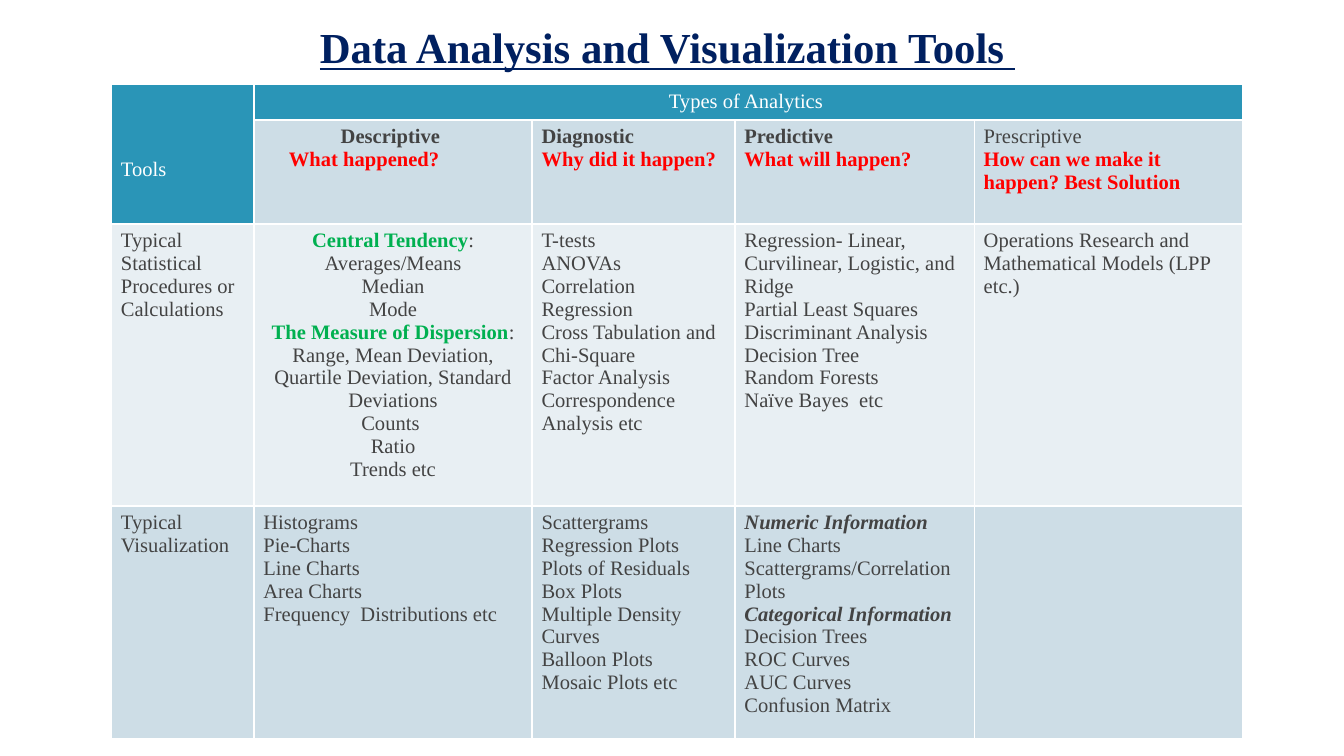
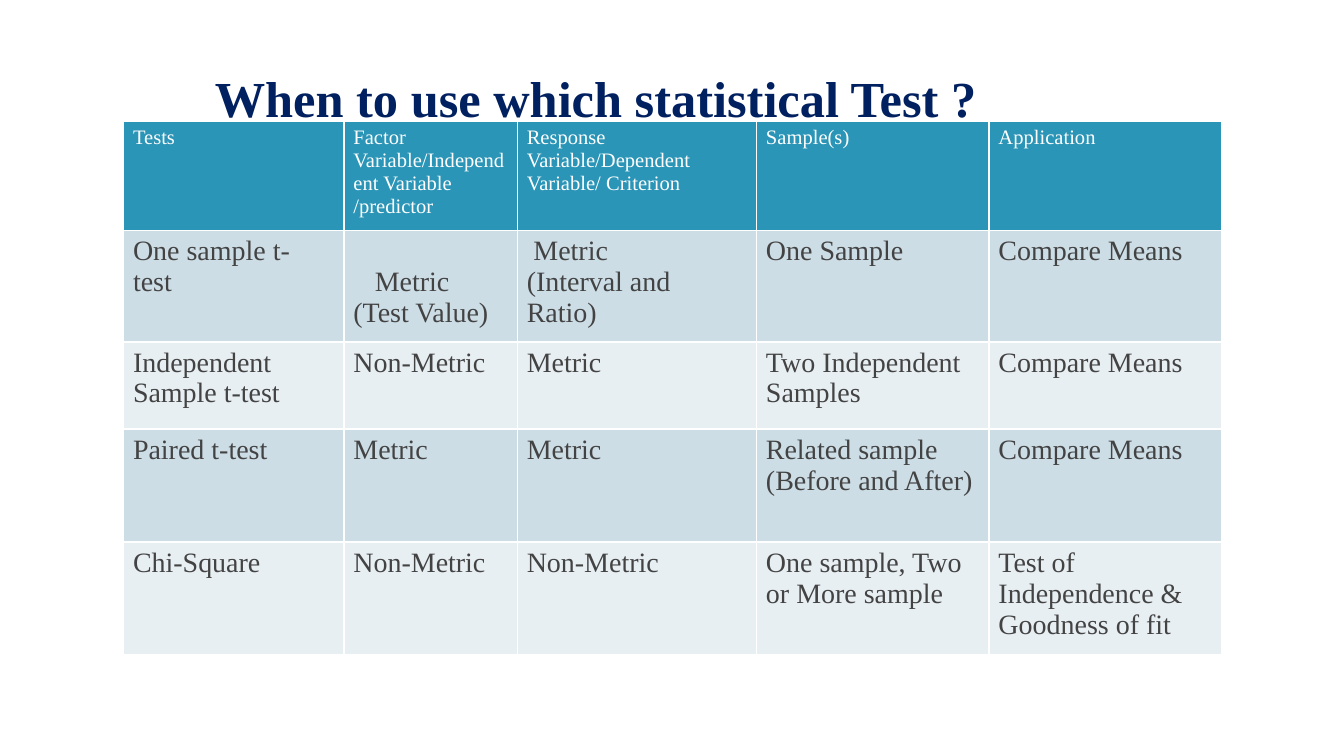
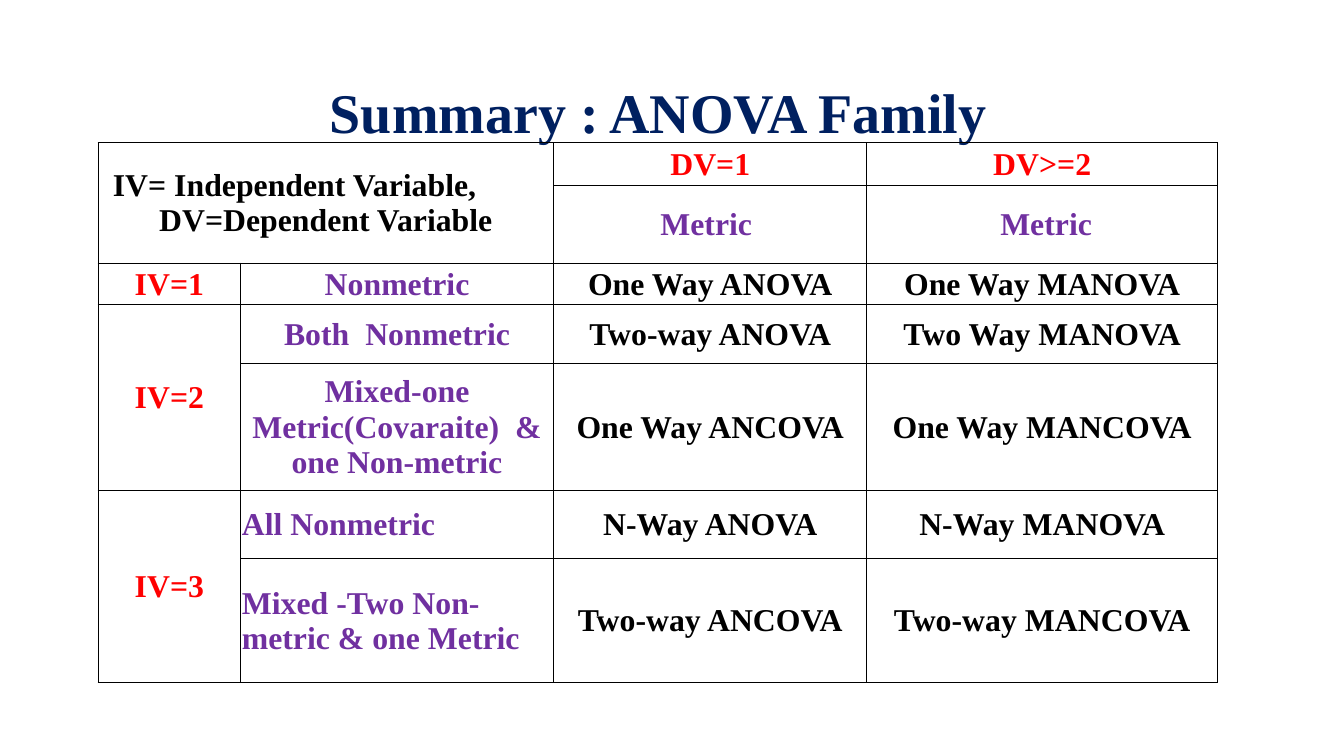
from dataclasses import dataclass, replace
from typing import Optional

from lxml.etree import SubElement
from pptx import Presentation
from pptx.dml.color import RGBColor
from pptx.enum.text import MSO_ANCHOR, PP_ALIGN
from pptx.oxml.ns import qn
from pptx.util import Emu, Pt

EMU_PER_PX = 9144  # 100 px to the inch

COLORS = {
    "navy": "002060",
    "teal": "2A95B7",
    "band": "CDDDE6",
    "pale": "E8EFF3",
    "gray": "434343",
    "white": "FFFFFF",
    "black": "000000",
    "red": "FF0000",
    "green": "00B050",
    "purple": "7030A0",
}


@dataclass(frozen=True)
class Face:
    color: str
    size: float
    bold: bool = False
    italic: bool = False
    underline: bool = False
    family: str = "Times New Roman"


@dataclass(frozen=True)
class Line:
    """One paragraph; indent moves its first line, in px."""
    runs: tuple[tuple[str, Face], ...]
    align: PP_ALIGN = PP_ALIGN.LEFT
    indent: int = 0


@dataclass(frozen=True)
class Cell:
    lines: tuple[Line, ...] = ()
    fill: Optional[str] = None
    rows: int = 1
    cols: int = 1
    top_inset: Optional[int] = None


@dataclass(frozen=True)
class Title:
    box: tuple[int, int, int, int]
    line: Line


@dataclass(frozen=True)
class Grid:
    left: int
    top: int
    widths: tuple[int, ...]
    heights: tuple[int, ...]
    cells: list[list[Optional[Cell]]]
    insets: tuple[int, int, int, int] = (7, 4, 7, 4)
    anchor: MSO_ANCHOR = MSO_ANCHOR.TOP
    edge: str = "white"
    edge_width: float = 1


HEADER = Face("white", 11)
BODY = Face("gray", 11)
STRONG = replace(BODY, bold=True)
QUESTION = replace(STRONG, color="red")
TOPIC = replace(STRONG, color="green")
KIND = replace(STRONG, italic=True)
ENTRY = Face("gray", 15)
RESULT = Face("black", 17, bold=True)
COUNT = replace(RESULT, color="red")
SCALE = replace(RESULT, color="purple")
TITLE = Face("navy", 27, bold=True)


def px(length: int) -> Emu:
    return Emu(length * EMU_PER_PX)


def rgb(name: str) -> RGBColor:
    return RGBColor.from_string(COLORS[name])


def one(text: str, face: Face, align: PP_ALIGN = PP_ALIGN.LEFT, indent: int = 0) -> Line:
    return Line(((text, face),), align, indent)


def listing(text: str, face: Face = BODY, align: PP_ALIGN = PP_ALIGN.LEFT) -> tuple[Line, ...]:
    """Turn each row of text into a paragraph."""
    return tuple(one(row, face, align) for row in text.split("\n"))


def apply_face(font, face: Face) -> None:
    font.name = face.family
    font.size = Pt(face.size)
    font.bold = face.bold
    font.italic = face.italic
    font.underline = face.underline
    font.color.rgb = rgb(face.color)


def write_lines(frame, lines: tuple[Line, ...]) -> None:
    for index, line in enumerate(lines):
        paragraph = frame.add_paragraph() if index else frame.paragraphs[0]
        paragraph.alignment = line.align
        if line.indent:
            paragraph_props = paragraph._p.get_or_add_pPr()
            paragraph_props.set("marL", "0")
            paragraph_props.set("indent", str(px(line.indent)))
        shared = len({face for _, face in line.runs}) == 1
        if shared:
            apply_face(paragraph.font, line.runs[0][1])
        for text, face in line.runs:
            run = paragraph.add_run()
            run.text = text
            if shared:
                run.font.size = Pt(face.size)  # row heights are measured from run sizes
            else:
                apply_face(run.font, face)


def draw_edges(cell, color: str, width: float) -> None:
    cell_props = cell._tc.get_or_add_tcPr()
    for side in "LRTB":
        edge = SubElement(cell_props, qn(f"a:ln{side}"), w=str(Pt(width)))
        solid = SubElement(edge, qn("a:solidFill"))
        SubElement(solid, qn("a:srgbClr"), val=COLORS[color])


def draw_title(slide, title: Title) -> None:
    frame = slide.shapes.add_textbox(*map(px, title.box)).text_frame
    frame.word_wrap = True
    frame.vertical_anchor = MSO_ANCHOR.TOP
    frame.margin_left = frame.margin_right = px(10)
    frame.margin_top = frame.margin_bottom = px(10)
    write_lines(frame, (title.line,))


def draw_grid(slide, grid: Grid) -> None:
    table = slide.shapes.add_table(
        len(grid.heights), len(grid.widths), px(grid.left), px(grid.top),
        px(sum(grid.widths)), px(sum(grid.heights))).table
    table.first_row = table.horz_banding = False
    for column, width in zip(table.columns, grid.widths):
        column.width = px(width)
    for row, height in zip(table.rows, grid.heights):
        row.height = px(height)
    for r, row_cells in enumerate(grid.cells):
        for c, content in enumerate(row_cells):
            cell = table.cell(r, c)
            draw_edges(cell, grid.edge, grid.edge_width)
            if content is None:
                cell.fill.background()
                continue
            if content.fill:
                cell.fill.solid()
                cell.fill.fore_color.rgb = rgb(content.fill)
            else:
                cell.fill.background()
            left, top, right, bottom = grid.insets
            cell.margin_left, cell.margin_right = px(left), px(right)
            cell.margin_top = px(top if content.top_inset is None else content.top_inset)
            cell.margin_bottom = px(bottom)
            cell.vertical_anchor = grid.anchor
            write_lines(cell.text_frame, content.lines)
            if content.rows * content.cols > 1:
                cell.merge(table.cell(r + content.rows - 1, c + content.cols - 1))


def analytics_type(name: str, question: str, face: Face = STRONG) -> Cell:
    return Cell((one(name, face), one(question, QUESTION)), "band")


def tools_grid() -> Grid:
    center = PP_ALIGN.CENTER
    descriptive = (
        Line((("Central Tendency", TOPIC), (": Averages/Means", BODY)), center),
        *listing("Median\nMode", align=center),
        Line((("The Measure of Dispersion", TOPIC),
              (": Range, Mean Deviation, Quartile Deviation, Standard Deviations", BODY)), center),
        *listing("Counts \nRatio\nTrends etc", align=center),
    )
    predictive_charts = (
        one("Numeric Information", KIND),
        *listing("Line Charts\nScattergrams/Correlation Plots"),
        one("Categorical Information", KIND),
        *listing("Decision Trees\nROC Curves\nAUC Curves\nConfusion Matrix"),
    )
    return Grid(83, 63, (106, 207, 151, 178, 200), (24, 75, 197, 163), [
        [Cell(listing("Tools", HEADER), "teal", rows=2, top_inset=55),
         Cell(listing("Types of Analytics ", HEADER, center), "teal", cols=4),
         None, None, None],
        [None,
         Cell((one("Descriptive ", STRONG, center),
               one("What happened?", QUESTION, indent=19)), "band"),
         analytics_type("Diagnostic", "Why did it happen?"),
         analytics_type("Predictive", "What will happen?"),
         analytics_type("Prescriptive", "How can we make it happen? Best Solution", BODY)],
        [Cell(lines, "pale") for lines in (
            listing("Typical Statistical Procedures or Calculations"),
            descriptive,
            listing("T-tests\nANOVAs\nCorrelation\nRegression\n"
                    "Cross Tabulation and Chi-Square\nFactor Analysis\n"
                    "Correspondence Analysis etc"),
            listing("Regression- Linear, Curvilinear, Logistic, and Ridge\n"
                    "Partial Least Squares\nDiscriminant Analysis\nDecision Tree\n"
                    "Random Forests\nNaïve Bayes  etc"),
            listing("Operations Research and Mathematical Models (LPP etc.)"))],
        [Cell(lines, "band") for lines in (
            listing("Typical Visualization"),
            listing("Histograms\nPie-Charts\nLine Charts\nArea Charts\n"
                    "Frequency  Distributions etc"),
            listing("Scattergrams\nRegression Plots\nPlots of Residuals\nBox Plots\n"
                    "Multiple Density Curves\nBalloon Plots\nMosaic Plots etc"),
            predictive_charts,
            ())],
    ])


def tests_grid() -> Grid:
    headings = ("Tests", "Factor  Variable/Independent Variable /predictor",
                "Response Variable/Dependent Variable/ Criterion", "Sample(s)", "Application")
    one_sample = [
        Cell(listing("One sample t- test", ENTRY), "band"),
        Cell((one("Metric (Test Value)", ENTRY, indent=16),), "band", top_inset=27),
        Cell((one("Metric", ENTRY, indent=5), one("(Interval and Ratio)", ENTRY)), "band"),
        Cell(listing("One Sample", ENTRY), "band"),
        Cell(listing("Compare Means", ENTRY), "band"),
    ]
    other_tests = (
        ("Independent Sample t-test", "Non-Metric", "Metric",
         "Two Independent Samples", "Compare Means"),
        ("Paired t-test", "Metric", "Metric",
         "Related sample (Before and After)", "Compare Means"),
        ("Chi-Square", "Non-Metric", "Non-Metric",
         "One sample, Two  or More sample", "Test of Independence & Goodness of fit"),
    )
    return Grid(92, 90, (164, 129, 178, 173, 173), (78, 80, 65, 84, 84), [
        [Cell(listing(heading, HEADER), "teal") for heading in headings],
        one_sample,
        *([Cell(listing(entry, ENTRY), "band" if index % 2 else "pale") for entry in test]
          for index, test in enumerate(other_tests)),
    ])


def anova_grid() -> Grid:
    def centered(text: str, face: Face = RESULT, rows: int = 1) -> Cell:
        return Cell(listing(text, face, PP_ALIGN.CENTER), rows=rows)

    def results(single: str, multiple: str) -> list[Cell]:
        return [centered(single), centered(multiple)]

    legend = Cell((one("IV= Independent Variable,", RESULT, indent=10),
                   one("DV=Dependent Variable", RESULT, PP_ALIGN.CENTER)), rows=2, cols=2)
    return Grid(73, 106, (106, 233, 233, 261), (32, 54, 31, 44, 94, 51, 92), [
        [legend, None, centered("DV=1", COUNT), centered("DV>=2", COUNT)],
        [None, None, centered("Metric ", SCALE), centered(" Metric", SCALE)],
        [centered("IV=1", COUNT), centered("Nonmetric", SCALE),
         *results("One Way ANOVA", "One Way MANOVA")],
        [centered("IV=2", COUNT, rows=2), centered("Both  Nonmetric", SCALE),
         *results("Two-way ANOVA", "Two Way MANOVA")],
        [None, centered("Mixed-one Metric(Covaraite)  & one Non-metric", SCALE),
         *results("One Way ANCOVA", "One Way MANCOVA")],
        [centered("IV=3", COUNT, rows=2), Cell(listing("All Nonmetric", SCALE)),
         *results("N-Way ANOVA", "N-Way MANOVA")],
        [None, Cell(listing("Mixed -Two Non-metric & one Metric", SCALE)),
         *results("Two-way ANCOVA", "Two-way MANCOVA")],
    ], insets=(1, 1, 1, 0), anchor=MSO_ANCHOR.MIDDLE, edge="black", edge_width=0.5)


def main() -> None:
    tools_title = Line((
        (" ", replace(TITLE, color="teal", family="Comic Neue")),
        ("Data Analysis and Visualization Tools ", replace(TITLE, size=22.9, underline=True)),
    ), PP_ALIGN.CENTER)
    pages = (
        (Title((25, 0, 930, 62), tools_title), tools_grid()),
        (Title((150, 40, 688, 50), one("When to use which statistical Test ?", TITLE)),
         tests_grid()),
        (Title((142, 48, 706, 58),
               one("Summary : ANOVA Family ", replace(TITLE, size=30), PP_ALIGN.CENTER)),
         anova_grid()),
    )
    deck = Presentation()
    deck.slide_width = px(1000)
    deck.slide_height = Emu(deck.slide_width * 9 // 16)
    for title, grid in pages:
        slide = deck.slides.add_slide(deck.slide_layouts[6])
        draw_title(slide, title)
        draw_grid(slide, grid)
    deck.save("out.pptx")


if __name__ == "__main__":
    main()
